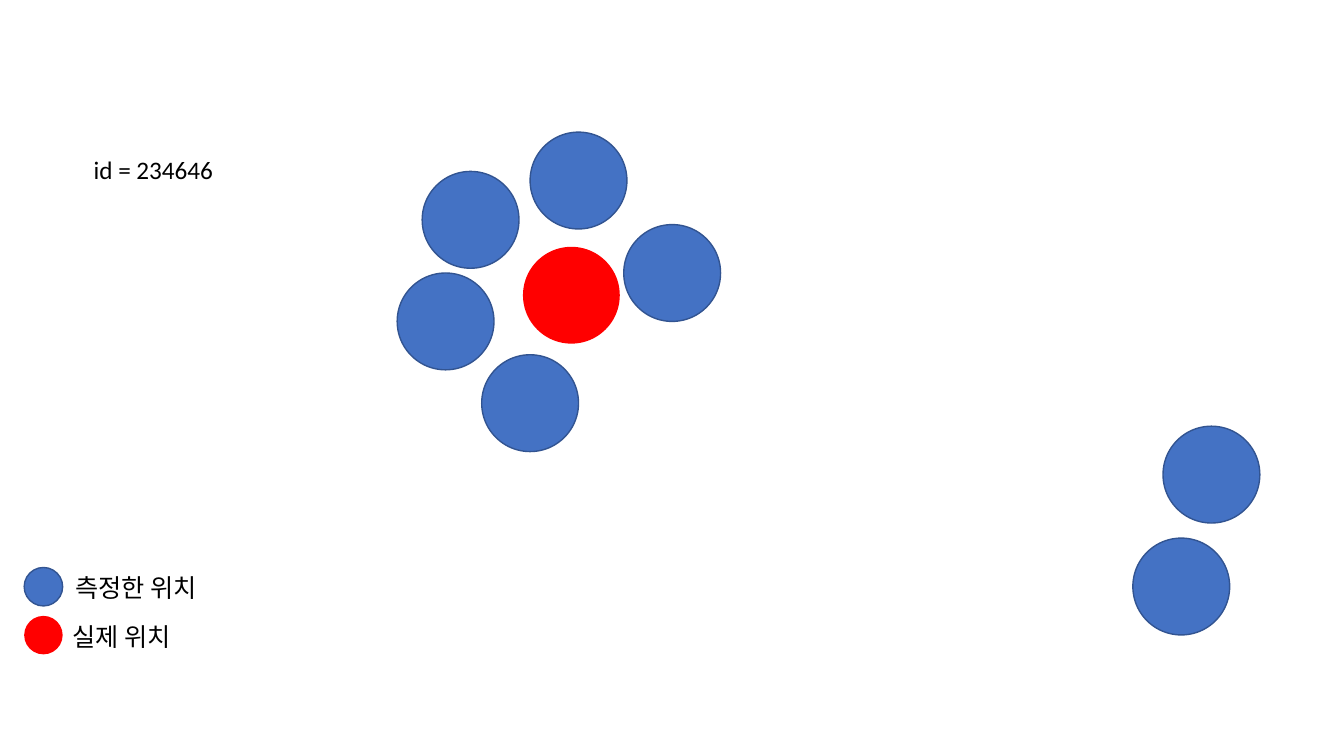
import pptx
import pptx.util
import pptx.dml.color
import pptx.enum.shapes
import pptx.enum.text
from dataclasses import dataclass

Cm = pptx.util.Cm
RGB = pptx.dml.color.RGBColor.from_string


@dataclass(frozen=True)
class Theme:
    measured: str = "4472C4"
    outline: str = "325491"
    actual: str = "FF0000"
    text: str = "000000"
    font: str = "Calibri"
    size: int = 18
    line: float = 1


class PositionSlide:
    def __init__(self, prs, theme):
        self.theme = theme
        self.s = prs.slides.add_slide(prs.slide_layouts[6])

    def dot(self, x, y, size, fill, outline=None):
        sp = self.s.shapes.add_shape(pptx.enum.shapes.MSO_SHAPE.OVAL,
                                     Cm(x), Cm(y), Cm(size), Cm(size))
        sp.shadow.inherit = False
        sp.fill.solid()
        sp.fill.fore_color.rgb = RGB(fill)
        if outline:
            sp.line.color.rgb = RGB(outline)
            sp.line.width = pptx.util.Pt(self.theme.line)
        else:
            sp.line.fill.background()

    def measured(self, x, y, size):
        self.dot(x, y, size, self.theme.measured, self.theme.outline)

    def actual(self, x, y, size):
        self.dot(x, y, size, self.theme.actual)

    def label(self, x, y, width, text):
        sp = self.s.shapes.add_textbox(Cm(x), Cm(y), Cm(width), Cm(1.02))
        tf = sp.text_frame
        tf.word_wrap = False
        tf.auto_size = pptx.enum.text.MSO_AUTO_SIZE.SHAPE_TO_FIT_TEXT
        r = tf.paragraphs[0].add_run()
        r.text = text
        r.font.name = self.theme.font
        r.font.size = pptx.util.Pt(self.theme.size)
        r.font.color.rgb = RGB(self.theme.text)


DOT, KEY = 2.44, 0.97
KEY_X = 0.61
CLUSTER = [(10.64, 4.32), (10.01, 6.88), (15.72, 5.66), (13.36, 3.33), (12.14, 8.94)]
OUTLIERS = [(28.55, 13.56), (29.31, 10.74)]


def main():
    prs = pptx.Presentation()
    prs.slide_width, prs.slide_height = Cm(33.87), Cm(19.05)
    slide = PositionSlide(prs, Theme())

    # Measured positions around the actual one, and two far away
    for x, y in CLUSTER + OUTLIERS:
        slide.measured(x, y, DOT)
    slide.actual(13.18, 6.22, DOT)

    # Identifier
    slide.label(2.11, 3.76, 3.56, "id = 234646")

    # Legend
    legend = [(slide.measured, 14.3, 1.65, 3.86, "측정한 위치"),
              (slide.actual, 15.52, 1.57, 3.23, "실제 위치")]
    for draw_key, y, text_x, width, text in legend:
        draw_key(KEY_X, y, KEY)
        slide.label(text_x, y, width, text)

    prs.save("out.pptx")


if __name__ == "__main__":
    main()
